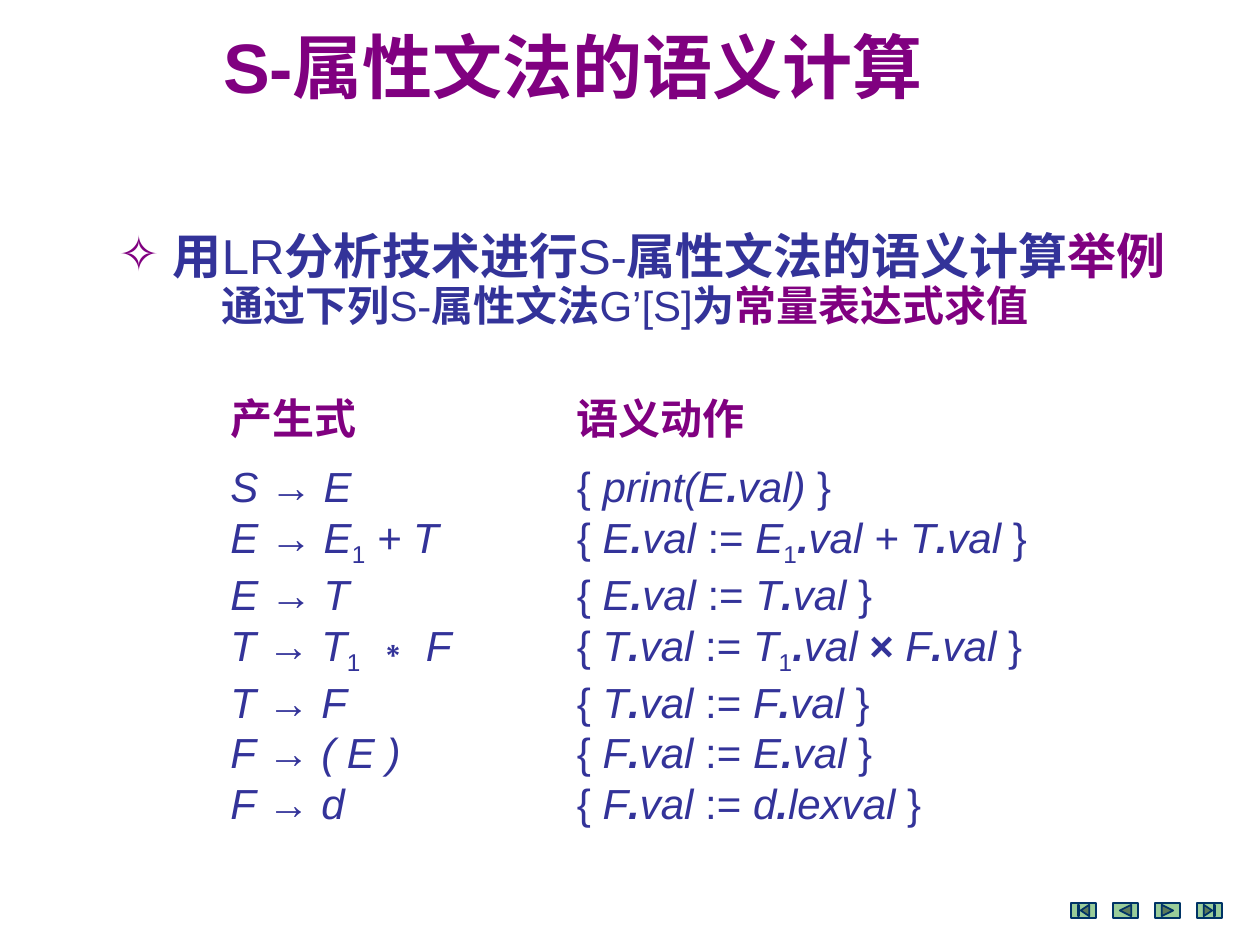
"""Build the slide on semantic evaluation of S-attributed grammars."""
import itertools

import pptx
import pptx.dml.color
import pptx.enum.shapes
import pptx.enum.text
import pptx.oxml.ns
import pptx.util
from lxml import etree

PURPLE, BLUE, GREEN, NAVY = "800080", "333399", "99CC99", "003366"
FONT = "Arial"

TITLE = [("S-属性文法的语义计算", True, PURPLE)]
TOPIC = [
    (" 用", True, BLUE), ("LR", False, BLUE), ("分析技术进行", True, BLUE),
    ("S-", False, BLUE), ("属性文法的语义计算", True, BLUE), ("举例", True, PURPLE),
]
TASK = [
    ("通过下列", True, BLUE), ("S-", False, BLUE), ("属性文法", True, BLUE),
    ("G’[S]", False, BLUE), ("为", True, BLUE), ("常量表达式求值", True, PURPLE),
]
HEADINGS = ("产生式", "语义动作")
RULES = [
    ("S → E", "{ print(E.val) }"),
    ("E → E1 + T", "{ E.val := E1.val + T.val }"),
    ("E → T", "{ E.val := T.val }"),
    ("T → T1 ∗ F", "{ T.val := T1.val × F.val }"),
    ("T → F", "{ T.val := F.val }"),
    ("F → ( E )", "{ F.val := E.val }"),
    ("F → d", "{ F.val := d.lexval }"),
]
BUTTONS = ("BEGINNING", "BACK_OR_PREVIOUS", "FORWARD_OR_NEXT", "END")

# Left, top, width and height as percentages of the slide.
TITLE_AREA = (16.7, 2.8, 63.9, 9.33)
TOPIC_AREA = (8.4, 20, 88.3, 13.87)
TASK_AREA = (12.1, 28.93, 80.4, 6.67)
COLUMN_AREAS = ((17.3, 40.93, 25.2, 47.33), (44.8, 40.93, 40.2, 47.33))
BUTTON_AREA, BUTTON_STEP = (85, 95.55, 2, 1.6), 3.33

prs = pptx.Presentation()
prs.slide_width, prs.slide_height = pptx.util.Inches(10), pptx.util.Inches(7.5)
s = prs.slides.add_slide(prs.slide_layouts[1])


def color(value):
    return pptx.dml.color.RGBColor.from_string(value)


def place(area):
    sides = (prs.slide_width, prs.slide_height) * 2
    return [int(share * side / 100) for share, side in zip(area, sides)]


def put(sp, area, anchor=pptx.enum.text.MSO_ANCHOR.MIDDLE):
    sp.left, sp.top, sp.width, sp.height = place(area)
    tf = sp.text_frame
    tf.word_wrap, tf.vertical_anchor = True, anchor
    tf.auto_size = pptx.enum.text.MSO_AUTO_SIZE.NONE
    return tf


def add_run(p, text, size, bold, value, italic=False, sub=False):
    r = p.add_run()
    r.text = text
    f = r.font
    f.name, f.size, f.bold, f.italic = FONT, pptx.util.Pt(size), bold, italic
    f.color.rgb = color(value)
    rpr = f._element
    etree.SubElement(rpr, pptx.oxml.ns.qn("a:ea")).set("typeface", FONT)
    if sub:
        rpr.set("baseline", "-25000")


def write(p, runs, size):
    p.alignment = pptx.enum.text.PP_ALIGN.LEFT
    p.space_before = pptx.util.Pt(0)
    for text, bold, value in runs:
        add_run(p, text, size, bold, value)


def indent(p, margin, first=0):
    ppr = p._p.get_or_add_pPr()
    ppr.set("marL", str(pptx.util.Inches(margin)))
    ppr.set("indent", str(pptx.util.Inches(first)))
    return ppr


def bullet(p, char, value):
    ppr = indent(p, 0.24, -0.24)
    clr = etree.SubElement(ppr, pptx.oxml.ns.qn("a:buClr"))
    etree.SubElement(clr, pptx.oxml.ns.qn("a:srgbClr")).set("val", value)
    etree.SubElement(ppr, pptx.oxml.ns.qn("a:buChar")).set("char", char)


def symbol_style(char):
    """Return bold, italic and subscript for one symbol of the grammar."""
    return char in ".×", char.isalpha() or char in ".+()", char.isdigit()


p = put(s.shapes.title, TITLE_AREA).paragraphs[0]
write(p, TITLE, 40)
p.line_spacing = 0.9

p = put(s.placeholders[1], TOPIC_AREA).paragraphs[0]
write(p, TOPIC, 28)
bullet(p, "✧", PURPLE)

p = put(s.shapes.add_textbox(*place(TASK_AREA)), TASK_AREA).paragraphs[0]
write(p, TASK, 24)
indent(p, 0.45)

for heading, column, area in zip(HEADINGS, zip(*RULES), COLUMN_AREAS):
    tf = put(s.shapes.add_textbox(*place(area)), area, pptx.enum.text.MSO_ANCHOR.TOP)
    p = tf.paragraphs[0]
    write(p, [(heading, True, PURPLE)], 24)
    p.space_after = pptx.util.Pt(10)
    for line in column:
        p = tf.add_paragraph()
        for (bold, italic, sub), chars in itertools.groupby(line, symbol_style):
            add_run(p, "".join(chars), 24, bold, BLUE, italic, sub)

left, *rest = BUTTON_AREA
for i, name in enumerate(BUTTONS):
    kind = getattr(pptx.enum.shapes.MSO_SHAPE, "ACTION_BUTTON_" + name)
    sp = s.shapes.add_shape(kind, *place((left + i * BUTTON_STEP, *rest)))
    sp.shadow.inherit = False
    sp.fill.solid()
    sp.fill.fore_color.rgb = color(GREEN)
    sp.line.color.rgb = color(NAVY)
    sp.line.width = pptx.util.Pt(1)

prs.save("out.pptx")
